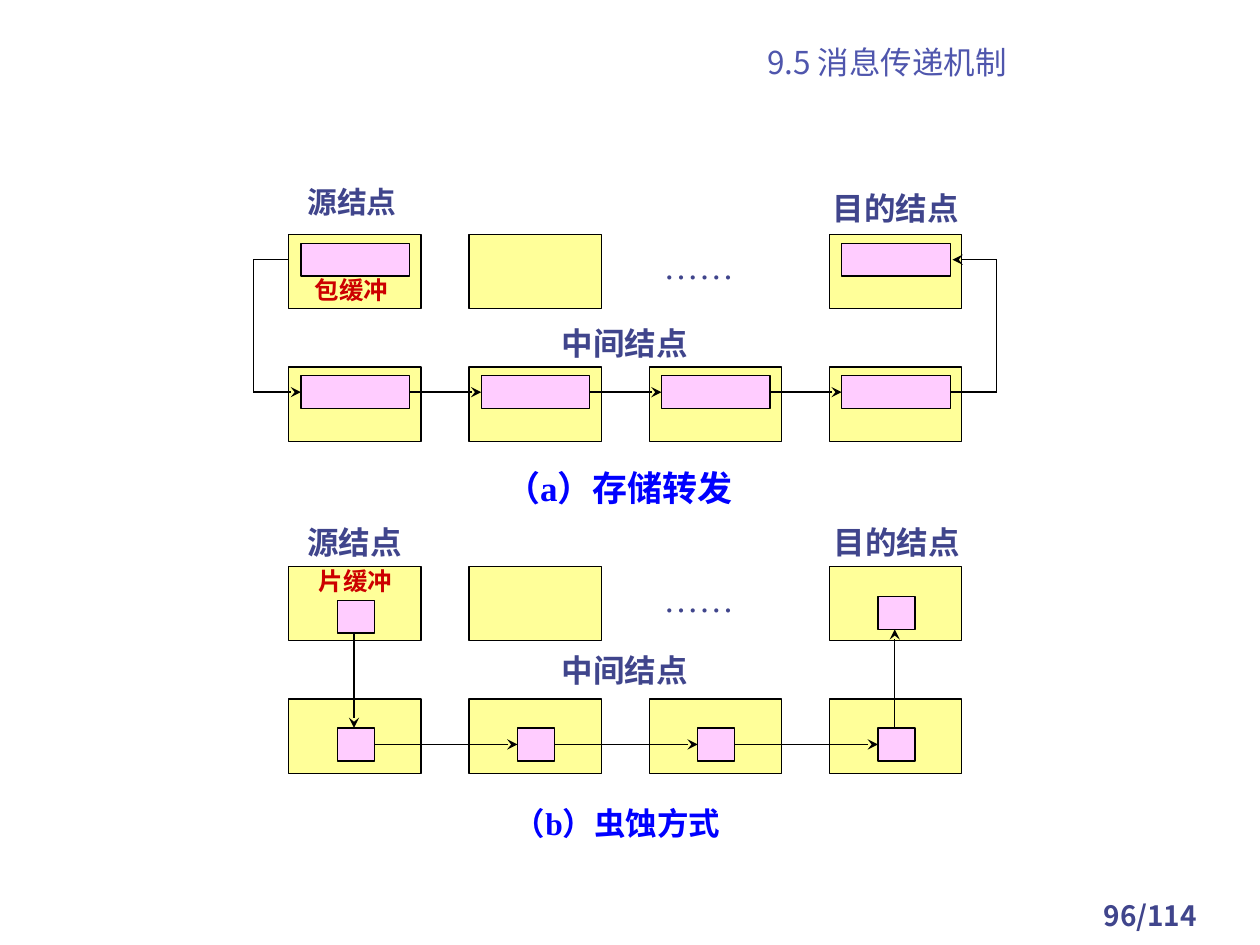
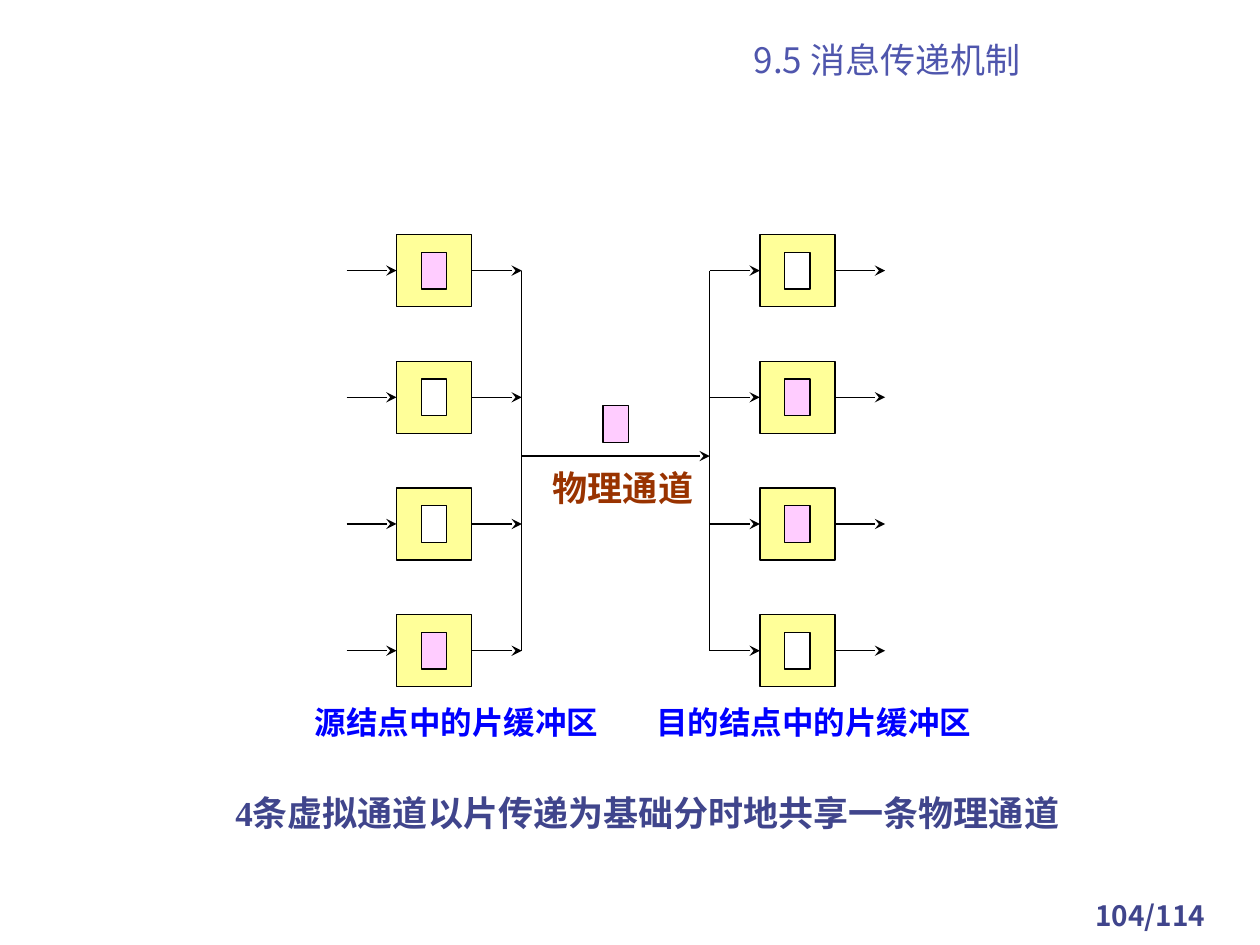
"""Build two slides on message passing: forwarding modes and virtual channels."""
from dataclasses import dataclass

from lxml.etree import SubElement
from pptx import Presentation
from pptx.dml.color import RGBColor
from pptx.enum.shapes import MSO_CONNECTOR, MSO_SHAPE
from pptx.enum.text import MSO_ANCHOR, PP_ALIGN
from pptx.oxml.ns import qn
from pptx.util import Pt

COLORS = {
    "ink": "40458C", "title": "4F56AD", "caption": "0000FF", "buffer_name": "CC0000",
    "channel": "993300", "node": "FFFF99", "full": "FFCCFF", "empty": "FFFFFF",
    "line": "000000",
}
SANS, SERIF = "Noto Sans CJK SC", "Times New Roman"
TITLE_ONLY = 5

NODE_W, NODE_H = 75.6, 42.5
NODE_X = [165 + 103 * column for column in range(4)]
PACKET_W, PACKET_H, PACKET_DX, PACKET_DY = 62, 18.8, 7, 5
FLIT_W, FLIT_H, FLIT_DX, FLIT_DY = 21.2, 18.8, 27.7, 16.6
BYPASS_LEFT, BYPASS_RIGHT = 144.7, 569.5

CHANNEL_TOP, CHANNEL_PITCH = 134, 72.4
CHANNEL_W, CHANNEL_H, STUB = 43, 41.3, 28.6
SLOT_W, SLOT_H = 14.4, 20.9
TRUNK_LEFT, TRUNK_RIGHT, PHYSICAL_Y = 298.1, 405.6, 260.6


@dataclass(frozen=True)
class Label:
    """Text with its place and style."""
    text: str
    left: float
    top: float
    width: float
    height: float = 33
    size: float = 18
    color: str = "ink"
    bold: bool = True
    font: str = SERIF
    align: PP_ALIGN = PP_ALIGN.JUSTIFY
    spacing: float = 1.0


@dataclass(frozen=True)
class Bank:
    """Column of channel buffers, each full or empty."""
    left: float
    slots: tuple[str, ...]


FORWARDING_LABELS = [
    Label("源结点", 168.5, 103.7, 95, size=17, spacing=0.9),
    Label("目的结点", 468.7, 104.4, 88.6),
    Label("包缓冲", 172.8, 153.4, 72, size=14, color="buffer_name"),
    Label("……", 372.2, 136, 82, size=20, bold=False),
    Label("中间结点", 313.9, 181.4, 88.6),
    Label("（a）存储转发", 281.5, 262.8, 248.4, size=20, color="caption"),
    Label("源结点", 168.5, 295.2, 73.4),
    Label("目的结点", 469.4, 295.2, 88.6),
    Label("片缓冲", 175, 319.7, 72, size=14, color="buffer_name"),
    Label("……", 372.2, 326.2, 82, size=20, bold=False),
    Label("中间结点", 313.9, 368.6, 88.6),
    Label("（b）虫蚀方式", 286.6, 455.8, 249, color="caption"),
]
CHANNEL_LABELS = [
    Label("物理通道", 308.9, 262.8, 98.6, size=20, color="channel"),
    Label("源结点中的片缓冲区", 172.8, 398.2, 187.2, color="caption"),
    Label("目的结点中的片缓冲区", 367.9, 398.2, 201.6, color="caption"),
    Label("4条虚拟通道以片传递为基础分时地共享一条物理通道", 127.4, 448.6, 532.8,
          size=20, align=PP_ALIGN.LEFT),
]
BANKS = [
    Bank(226.6, ("full", "empty", "empty", "full")),
    Bank(434.2, ("empty", "full", "full", "empty")),
]


def rgb(name: str) -> RGBColor:
    """Return a named colour."""
    return RGBColor.from_string(COLORS[name])


def write(shape, label: Label) -> None:
    """Place a text-bearing shape and fill in its styled paragraph."""
    shape.left, shape.top = Pt(label.left), Pt(label.top)
    shape.width, shape.height = Pt(label.width), Pt(label.height)
    frame = shape.text_frame
    frame.word_wrap = True
    frame.text = label.text
    paragraph = frame.paragraphs[0]
    paragraph.alignment = label.align
    paragraph.line_spacing = label.spacing
    font = paragraph.font
    font.name, font.size, font.bold = label.font, Pt(label.size), label.bold
    font.color.rgb = rgb(label.color)
    defaults = paragraph._p.pPr.find(qn("a:defRPr"))
    SubElement(defaults, qn("a:ea"), typeface=SANS)


def add_labels(slide, labels: list[Label]) -> None:
    """Add a text box for each label."""
    for label in labels:
        write(slide.shapes.add_textbox(0, 0, 0, 0), label)


def add_box(slide, left: float, top: float, width: float, height: float, fill: str) -> None:
    """Add an outlined rectangle."""
    box = slide.shapes.add_shape(
        MSO_SHAPE.RECTANGLE, Pt(left), Pt(top), Pt(width), Pt(height))
    box.shadow.inherit = False
    box.fill.solid()
    box.fill.fore_color.rgb = rgb(fill)
    box.line.color.rgb = rgb("line")
    box.line.width = Pt(0.75)


def add_link(slide, x1: float, y1: float, x2: float, y2: float, arrow: bool = True) -> None:
    """Add a line, with an arrowhead at its end if asked."""
    link = slide.shapes.add_connector(
        MSO_CONNECTOR.STRAIGHT, Pt(x1), Pt(y1), Pt(x2), Pt(y2))
    link.line.color.rgb = rgb("line")
    link.line.width = Pt(0.75)
    properties = link._element.spPr
    if arrow:
        SubElement(properties.find(qn("a:ln")), qn("a:tailEnd"), type="stealth")
    SubElement(properties, qn("a:effectLst"))


def add_page(deck, title_size: float, page: int):
    """Add a slide with the section title and page number."""
    slide = deck.slides.add_slide(deck.slide_layouts[TITLE_ONLY])
    title = slide.shapes.title
    write(title, Label("9.5 消息传递机制", 306, 19.4, 401.8, 30.2, title_size, "title",
                       False, SANS, PP_ALIGN.CENTER))
    title.text_frame.vertical_anchor = MSO_ANCHOR.BOTTOM
    add_labels(slide, [Label(f"{page}/114", 606.2, 509.8, 102.2, 23.8, 16,
                             font=SANS, align=PP_ALIGN.CENTER)])
    return slide


def add_nodes(slide, upper: float, lower: float) -> None:
    """Add three end nodes above four intermediate nodes."""
    for column, left in enumerate(NODE_X):
        if column != 2:
            add_box(slide, left, upper, NODE_W, NODE_H, "node")
        add_box(slide, left, lower, NODE_W, NODE_H, "node")


def draw_store_and_forward(slide, upper: float, lower: float) -> None:
    """Draw whole packets moving from node to node."""
    add_nodes(slide, upper, lower)
    buffers = [x + PACKET_DX for x in NODE_X]
    places = [(x, lower) for x in buffers] + [(buffers[0], upper), (buffers[-1], upper)]
    for left, top in places:
        add_box(slide, left, top + PACKET_DY, PACKET_W, PACKET_H, "full")
    upper_y, lower_y = (top + PACKET_DY + PACKET_H / 2 for top in (upper, lower))
    add_link(slide, NODE_X[0], upper_y, BYPASS_LEFT, upper_y, False)
    add_link(slide, BYPASS_LEFT, upper_y, BYPASS_LEFT, lower_y, False)
    add_link(slide, BYPASS_LEFT, lower_y, buffers[0], lower_y)
    for start, end in zip(buffers, buffers[1:]):
        add_link(slide, start + PACKET_W, lower_y, end, lower_y)
    add_link(slide, buffers[-1] + PACKET_W, lower_y, BYPASS_RIGHT, lower_y, False)
    add_link(slide, BYPASS_RIGHT, lower_y, BYPASS_RIGHT, upper_y, False)
    add_link(slide, BYPASS_RIGHT, upper_y, 544.3, upper_y)


def draw_wormhole(slide, upper: float, lower: float) -> None:
    """Draw flits moving straight through the nodes."""
    add_nodes(slide, upper, lower)
    flits = [x + FLIT_DX for x in NODE_X]
    lower_top, source_top, target_top = lower + FLIT_DY, upper + 19.4, upper + 17.2
    places = [(x, lower_top) for x in flits]
    places += [(flits[0], source_top), (flits[-1], target_top)]
    for left, top in places:
        add_box(slide, left, top, FLIT_W, FLIT_H, "full")
    first, last = flits[0] + FLIT_W / 2 - 1, flits[-1] + FLIT_W / 2 - 1
    middle = lower_top + FLIT_H / 2
    add_link(slide, first, source_top + FLIT_H, first, lower_top)
    for start, end in zip(flits, flits[1:]):
        add_link(slide, start + FLIT_W, middle, end, middle)
    add_link(slide, last, lower_top, last, target_top + FLIT_H)


def draw_channels(slide) -> None:
    """Draw four virtual channels sharing one physical channel."""
    for bank in BANKS:
        right = bank.left + CHANNEL_W
        for row, state in enumerate(bank.slots):
            top = CHANNEL_TOP + row * CHANNEL_PITCH
            middle = top + CHANNEL_H / 2
            add_box(slide, bank.left, top, CHANNEL_W, CHANNEL_H, "node")
            add_box(slide, bank.left + (CHANNEL_W - SLOT_W) / 2, middle - SLOT_H / 2,
                    SLOT_W, SLOT_H, state)
            add_link(slide, bank.left - STUB, middle, bank.left, middle)
            add_link(slide, right, middle, right + STUB, middle)
    first = CHANNEL_TOP + CHANNEL_H / 2
    for trunk in (TRUNK_LEFT, TRUNK_RIGHT):
        add_link(slide, trunk, first, trunk, first + 3 * CHANNEL_PITCH, False)
    add_link(slide, TRUNK_LEFT, PHYSICAL_Y, TRUNK_RIGHT, PHYSICAL_Y)
    add_box(slide, 344.6, 231.9, SLOT_W, SLOT_H, "full")


def main() -> None:
    """Build and save the deck."""
    deck = Presentation()
    deck.slide_width, deck.slide_height = Pt(720), Pt(540)
    forwarding = add_page(deck, 18, 96)
    draw_store_and_forward(forwarding, 134, 209.7)
    draw_wormhole(forwarding, 323.6, 399.4)
    add_labels(forwarding, FORWARDING_LABELS)
    channels = add_page(deck, 20, 104)
    draw_channels(channels)
    add_labels(channels, CHANNEL_LABELS)
    deck.save("out.pptx")


if __name__ == "__main__":
    main()
